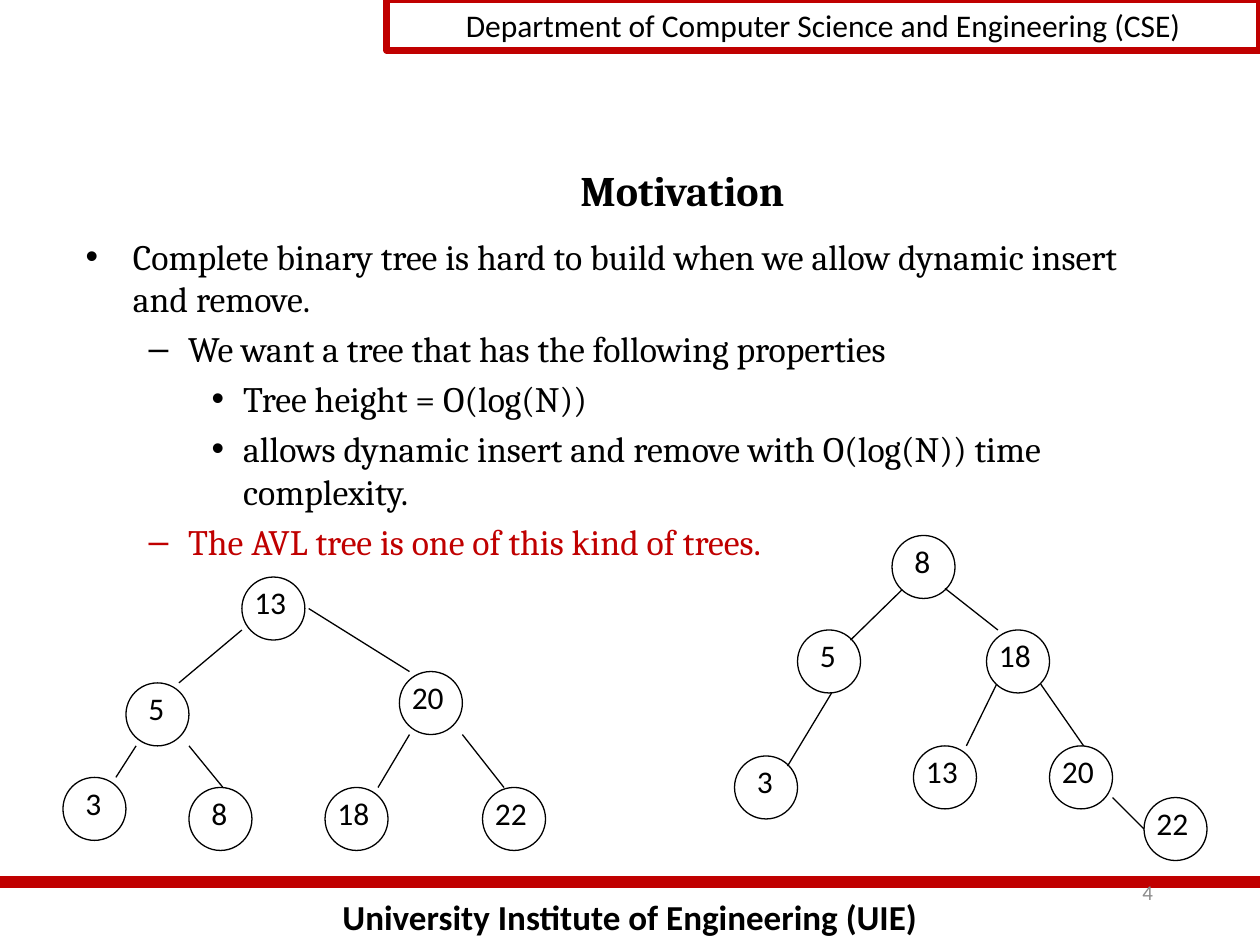
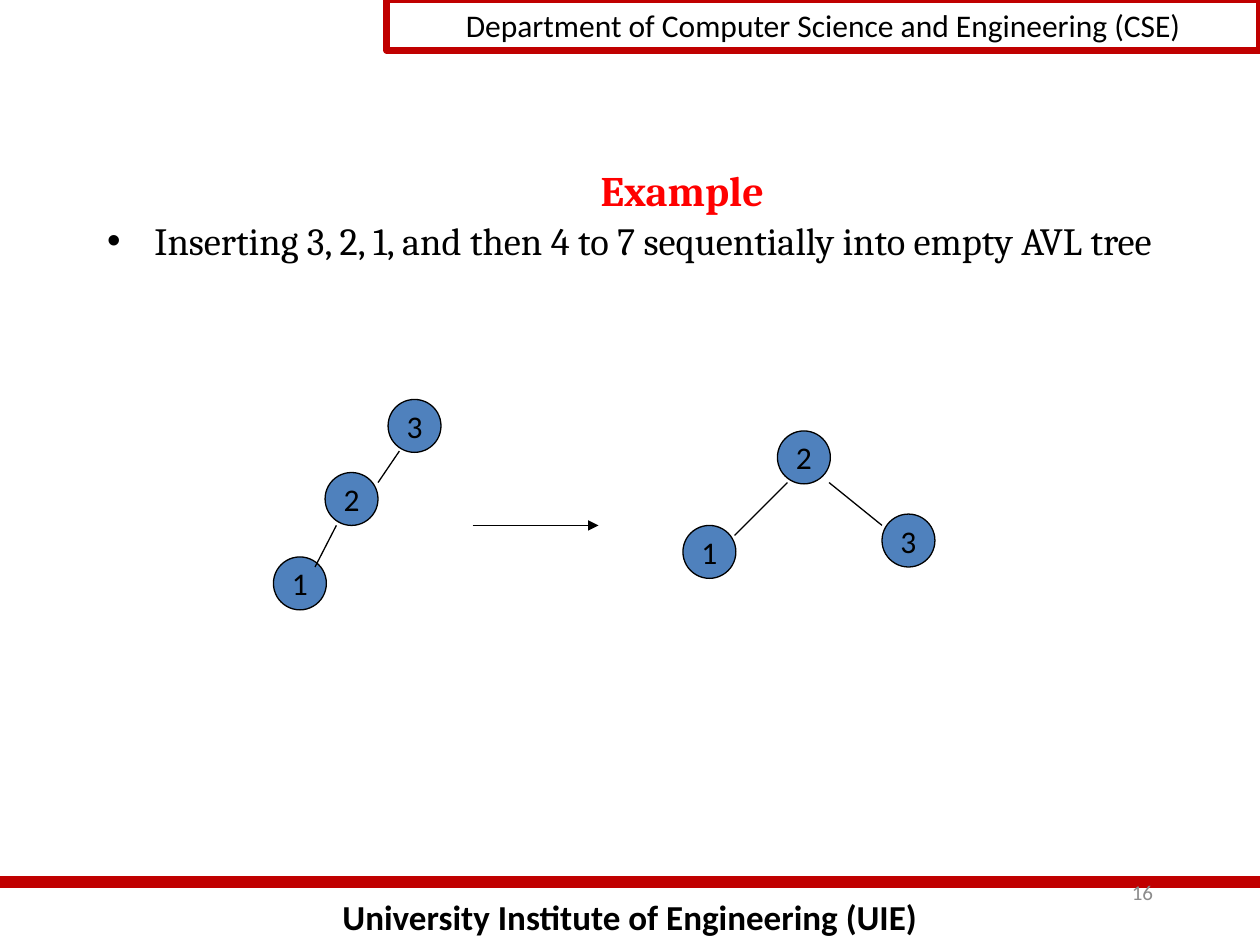
"""Build two slides on AVL trees, with a shared header band and footer."""
import lxml.etree
import pptx
import pptx.dml.color
import pptx.enum.shapes
import pptx.enum.text
import pptx.oxml.ns
import pptx.util

Inches = pptx.util.Inches
Align = pptx.enum.text.PP_ALIGN
Anchor = pptx.enum.text.MSO_ANCHOR
Fit = pptx.enum.text.MSO_AUTO_SIZE
Kind = pptx.enum.shapes.MSO_SHAPE

BLACK, BAND, RED, GRAY, BLUE = "000000", "C00000", "FF0000", "8C8C8C", "4F81BD"
HEADER = "Department of Computer Science and Engineering (CSE)"
FOOTER = "University Institute of Engineering (UIE)"

SLIDES = [
    {
        "title": ("Motivation", BLACK),
        "number": "4",
        "body": (0.58, 1.42, 8.5, 2.83),
        "inset": 0.44,
        "size": 20.4,
        "points": [
            (0, "Complete binary tree is hard to build when we allow dynamic insert and remove.", BLACK),
            (1, "We want a tree that has the following properties", BLACK),
            (2, "Tree height = O(log(N))", BLACK),
            (2, "allows dynamic insert and remove with O(log(N)) time complexity.", BLACK),
            (1, "The AVL tree is one of this kind of trees.", BAND),
        ],
        "filled": False,
        "nodes": [
            ("13", 1.92, 4.58), ("5", 1, 5.42), ("3", 0.5, 6.17), ("8", 1.5, 6.25),
            ("20", 3.17, 5.33), ("18", 2.58, 6.25), ("22", 3.83, 6.25),
            ("8", 7.08, 4.25), ("5", 6.33, 5), ("3", 5.83, 6), ("18", 7.83, 5),
            ("13", 7.25, 5.92), ("20", 8.33, 5.92), ("22", 9.08, 6.33),
        ],
        "edges": [
            (1.92, 5, 1.42, 5.42), (2.45, 4.83, 3.25, 5.33),
            (1.08, 5.92, 0.92, 6.17), (1.5, 5.92, 1.77, 6.25),
            (3.25, 5.83, 3, 6.25), (3.67, 5.83, 4, 6.25),
            (7.16, 4.68, 6.75, 5.08), (6.6, 5.5, 6.25, 6.08),
            (7.5, 4.67, 7.92, 5), (7.91, 5.43, 7.67, 5.92),
            (8.26, 5.43, 8.6, 5.92), (8.83, 6.33, 9.08, 6.58),
        ],
        "arrows": [],
    },
    {
        "title": ("Example", RED),
        "number": "16",
        "body": (0.75, 1.67, 8.5, 0.92),
        "inset": 0.05,
        "size": 22,
        "points": [
            (0, "Inserting 3, 2, 1, and then 4 to 7 sequentially into empty AVL tree", BLACK),
        ],
        "filled": True,
        "nodes": [
            ("3", 3.08, 3.17), ("1", 2.17, 4.42), ("2", 2.58, 3.75),
            ("3", 7, 4.08), ("2", 6.17, 3.42), ("1", 5.42, 4.17),
        ],
        "edges": [
            (3.17, 3.58, 3, 3.83), (2.67, 4.17, 2.5, 4.5),
            (6.25, 3.83, 5.83, 4.25), (6.58, 3.83, 7, 4.17),
        ],
        "arrows": [(3.75, 4.17, 4.75, 4.17)],
    },
]


def paint(hue):
    """Turn a hex string into a colour."""
    return pptx.dml.color.RGBColor.from_string(hue)


def put(shape, box):
    """Move and size a shape, in inches."""
    shape.left, shape.top, shape.width, shape.height = map(Inches, box)


def write(para, text, size, hue=BLACK, font="Calibri", bold=False, align=None):
    """Add one formatted run to a paragraph."""
    if align is not None:
        para.alignment = align
    run = para.add_run()
    run.text = text
    run.font.name, run.font.size, run.font.bold = font, pptx.util.Pt(size), bold
    run.font.color.rgb = paint(hue)


def label(slide, box, text, size, anchor=Anchor.TOP, wrap=True, fit=Fit.SHAPE_TO_FIT_TEXT, **look):
    """Add a text box with one line of text."""
    frame = slide.shapes.add_textbox(*map(Inches, box)).text_frame
    frame.word_wrap, frame.auto_size, frame.vertical_anchor = wrap, fit, anchor
    write(frame.paragraphs[0], text, size, **look)


def outline(slide, kind, box, hue, width, fill=None):
    """Add a preset shape with a plain outline."""
    shape = slide.shapes.add_shape(kind, *map(Inches, box))
    shape.shadow.inherit = False
    if fill:
        shape.fill.solid()
        shape.fill.fore_color.rgb = paint(fill)
    else:
        shape.fill.background()
    shape.line.color.rgb, shape.line.width = paint(hue), pptx.util.Pt(width)
    return shape


def link(slide, ends, hue=BLACK, width=0.75, arrow=False):
    """Add a straight line, with an arrowhead if asked."""
    line = slide.shapes.add_connector(
        pptx.enum.shapes.MSO_CONNECTOR.STRAIGHT, *map(Inches, ends))
    line.line.color.rgb, line.line.width = paint(hue), pptx.util.Pt(width)
    props, name = line.element.spPr, pptx.oxml.ns.qn
    if arrow:
        lxml.etree.SubElement(props.find(name("a:ln")), name("a:tailEnd"), type="triangle")
    lxml.etree.SubElement(props, name("a:effectLst"))


def frame(slide, number):
    """Draw the header band, footer and slide number."""
    label(slide, (0, 7.06, 10, 0.44), FOOTER, 20, bold=True, align=Align.CENTER)
    link(slide, (0, 7, 10, 7), BAND, 7)
    head = outline(slide, Kind.RECTANGLE, (3.07, 0, 6.93, 0.4), BAND, 4)
    write(head.text_frame.paragraphs[0], HEADER, 18, align=Align.CENTER)
    label(slide, (7.17, 6.83, 2.08, 0.5), number, 12, anchor=Anchor.MIDDLE,
          fit=Fit.NONE, hue=GRAY, align=Align.RIGHT)


def node(slide, text, left, top, filled):
    """Draw one tree node with its key."""
    side = 0.42 if filled else 0.5
    ring = outline(slide, Kind.OVAL, (left, top, side, side), BLACK, 0.75, BLUE if filled else None)
    if filled:
        ring.text_frame.word_wrap = False
        ring.text_frame.vertical_anchor = Anchor.MIDDLE
        write(ring.text_frame.paragraphs[0], text, 18, align=Align.CENTER)
    else:
        shift, width = (0.08, 0.37) if len(text) == 1 else (0, 0.53)
        label(slide, (left + shift, top, width, side), text, 18, wrap=False)


def fill(slide, data):
    """Set the title and the bullet list."""
    title, body = slide.shapes.title, slide.placeholders[1]
    put(title, (1.08, 1.17, 8.67, 0.67))
    title.text_frame.vertical_anchor = Anchor.MIDDLE
    text, hue = data["title"]
    write(title.text_frame.paragraphs[0], text, 24, hue, "Cambria", True, Align.CENTER)
    put(body, data["body"])
    area = body.text_frame
    area.auto_size, area.margin_top = Fit.NONE, Inches(data["inset"])
    for spot, (level, text, hue) in enumerate(data["points"]):
        para = area.add_paragraph() if spot else area.paragraphs[0]
        para.level = level
        write(para, text, data["size"], hue, "Cambria")


def main():
    """Build and save the deck."""
    deck = pptx.Presentation()
    deck.slide_width, deck.slide_height = Inches(10), Inches(7.5)
    for data in SLIDES:
        slide = deck.slides.add_slide(deck.slide_layouts[1])
        frame(slide, data["number"])
        fill(slide, data)
        for key in data["nodes"]:
            node(slide, *key, data["filled"])
        for ends in data["edges"]:
            link(slide, ends)
        for ends in data["arrows"]:
            link(slide, ends, arrow=True)
    deck.save("out.pptx")


if __name__ == "__main__":
    main()
